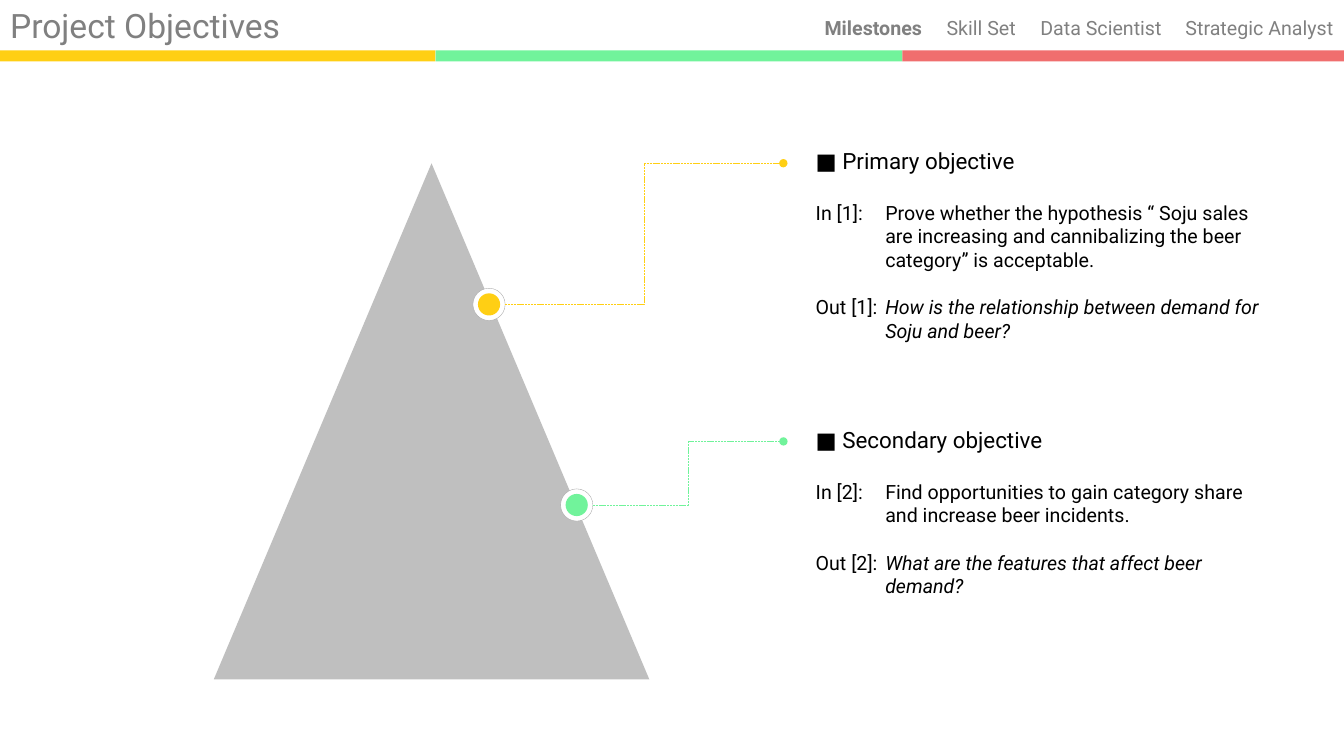
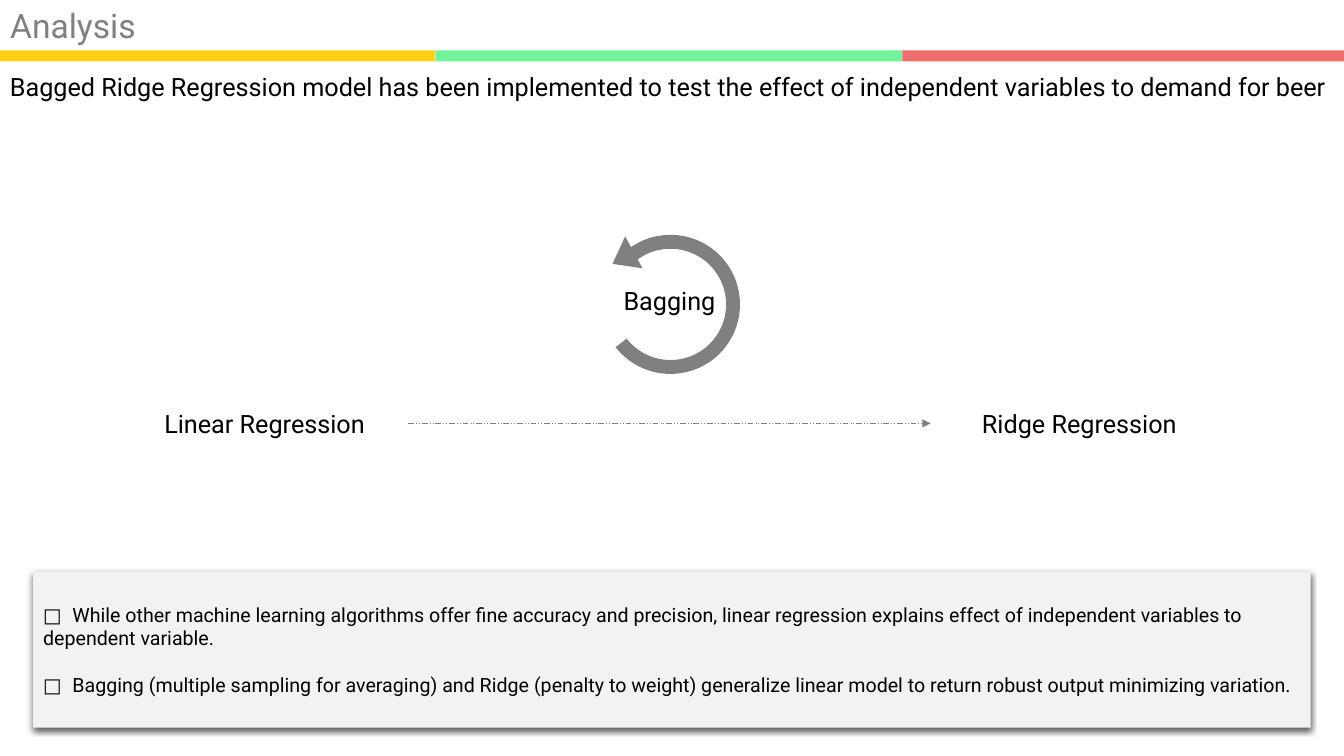
from lxml import etree
from pptx import Presentation
from pptx.dml.color import RGBColor
from pptx.enum.dml import MSO_LINE
from pptx.enum.shapes import MSO_CONNECTOR, MSO_SHAPE
from pptx.enum.text import MSO_ANCHOR, MSO_AUTO_SIZE, PP_ALIGN
from pptx.oxml.ns import qn
from pptx.util import Pt

PX = 9144
FONT = "Roboto"
COLORS = {
    "yellow": "FFCF14", "green": "71F39B", "red": "F06E6E", "text": "000000",
    "gray": "808080", "pyramid": "BFBFBF", "ring": "A6A6A6", "panel": "F2F2F2",
    "white": "FFFFFF",
}
BANDS = [("yellow", -2, 434), ("green", 432, 463), ("red", 895, 441)]
TWO_CONTENT, TITLE_ONLY = 3, 5
TOP, MIDDLE = MSO_ANCHOR.TOP, MSO_ANCHOR.MIDDLE
LEFT, CENTER = PP_ALIGN.LEFT, PP_ALIGN.CENTER
FIT_NONE = MSO_AUTO_SIZE.NONE
RECTANGLE, TRIANGLE = MSO_SHAPE.RECTANGLE, MSO_SHAPE.ISOSCELES_TRIANGLE
OVAL, ARC = MSO_SHAPE.OVAL, MSO_SHAPE.BLOCK_ARC
STRAIGHT, ELBOW = MSO_CONNECTOR.STRAIGHT, MSO_CONNECTOR.ELBOW
SHORT_DASH, DASH_DOTS = MSO_LINE.SQUARE_DOT, MSO_LINE.DASH_DOT_DOT


def color(name):
    """Return a named colour."""
    return RGBColor.from_string(COLORS[name])


def emu(*lengths):
    """Turn px into EMU."""
    return [length * PX for length in lengths]


def format_runs(paragraph, size, color_name="text"):
    """Give every run of a paragraph the deck's font."""
    for run in paragraph.runs:
        run.font.name = FONT
        run.font.size = Pt(size)
        run.font.color.rgb = color(color_name)


def set_tabs(paragraph, tabs, hanging=0, space_before=0):
    """Set tab stops, spacing and, if wanted, a hanging indent."""
    paragraph.alignment = LEFT
    paragraph.space_before = Pt(space_before)
    properties = paragraph._p.get_or_add_pPr()
    if hanging:
        properties.set("marL", str(hanging * PX))
        properties.set("indent", str(-hanging * PX))
        etree.SubElement(properties, qn("a:buNone"))
    stops = etree.SubElement(properties, qn("a:tabLst"))
    for tab in tabs:
        etree.SubElement(stops, qn("a:tab"), pos=str(tab * PX), algn="l")


def place(shape, box):
    """Move a placeholder into a box and fix its text area."""
    shape.left, shape.top, shape.width, shape.height = emu(*box)
    frame = shape.text_frame
    frame.word_wrap = True
    frame.auto_size = FIT_NONE
    frame.vertical_anchor = TOP
    return frame


def add_figure(slide, kind, box, fill, rotation=0):
    """Add a flat filled shape."""
    shape = slide.shapes.add_shape(kind, *emu(*box))
    shape.shadow.inherit = False
    shape.fill.solid()
    shape.fill.fore_color.rgb = color(fill)
    shape.line.fill.background()
    shape.rotation = rotation
    return shape


def add_label(slide, box, text, size=18, alignment=LEFT, wrap=True, color_name="text"):
    """Add a one-paragraph text box and return its paragraph."""
    frame = slide.shapes.add_textbox(*emu(*box)).text_frame
    frame.word_wrap = wrap
    paragraph = frame.paragraphs[0]
    paragraph.text = text
    paragraph.alignment = alignment
    format_runs(paragraph, size, color_name)
    return paragraph


def add_line(slide, kind, start, end, color_name, dash, tail):
    """Add a thin dashed connector with an end mark."""
    connector = slide.shapes.add_connector(kind, *emu(*start, *end))
    connector.line.color.rgb = color(color_name)
    connector.line.width = Pt(0.5)
    connector.line.dash_style = dash
    properties = connector.element.spPr
    etree.SubElement(properties.find(qn("a:ln")), qn("a:tailEnd"), type=tail)
    etree.SubElement(properties, qn("a:effectLst"))


def add_master_bands(presentation, slide):
    """Put the three colour bands on the slide master."""
    tree = presentation.slide_master.shapes.element
    for name, left, width in BANDS:
        band = add_figure(slide, RECTANGLE, (left, 50, width, 11), name)
        tree.append(band.element)


def add_slide(presentation, layout, title):
    """Add a slide with the shared title style."""
    slide = presentation.slides.add_slide(presentation.slide_layouts[layout])
    frame = place(slide.shapes.title, (0, 0, 405, 50))
    frame.text = title
    frame.paragraphs[0].alignment = LEFT
    format_runs(frame.paragraphs[0], 24, "gray")
    return slide


def add_navigation(slide, left, top):
    """Add the section names with the current one in bold."""
    sections = "Milestones\tSkill Set\tData Scientist\tStrategic Analyst"
    current, others = sections.split("\t", 1)
    paragraph = add_label(slide, (left, top, 530, 34), current, 14, color_name="gray")
    paragraph.add_run().text = "\t" + others
    format_runs(paragraph, 14, "gray")
    paragraph.runs[0].font.bold = True
    set_tabs(paragraph, (121, 214, 358))


def add_marker(slide, left, top, fill, target):
    """Add a ringed dot and the elbow line leading to its objective."""
    ring = add_figure(slide, OVAL, (left, top, 32, 32), "white")
    ring.line.color.rgb = color("ring")
    ring.line.width = Pt(0.25)
    add_figure(slide, OVAL, (left + 5, top + 5, 22, 22), fill)
    add_line(slide, ELBOW, (left + 32, top + 16), target, fill, SHORT_DASH, "oval")


def fill_objective(placeholder, box, heading, number, task, question):
    """Write one objective as a heading with an In and an Out entry."""
    frame = place(placeholder, box)
    frame.text = f"■ {heading}\nIn [{number}]:\t{task}\nOut [{number}]:\t"
    frame.paragraphs[2].add_run().text = question
    for paragraph, size, space in zip(frame.paragraphs, (16, 14, 14), (0, 19, 17)):
        set_tabs(paragraph, (69,), 69, space)
        format_runs(paragraph, size)
    frame.paragraphs[2].runs[1].font.italic = True


def add_bagging_loop(slide, left, top):
    """Add the circular arrow around its label."""
    arc = add_figure(slide, ARC, (left, top, 138, 138), "gray")
    for index, value in enumerate((231 * 0.6, 142 * 0.6, 0.1)):
        arc.adjustments[index] = value
    add_figure(slide, TRIANGLE, (left + 4, top + 11, 36, 24), "gray", 241.6)
    add_label(slide, (left + 12, top + 45, 112, 40), "Bagging", 18, CENTER, False)


def add_notes_panel(slide, box, notes):
    """Write the checklist on a shaded panel."""
    panel = add_figure(slide, RECTANGLE, box, "panel")
    effects = panel.element.spPr.find(qn("a:effectLst"))
    shadow = etree.SubElement(
        effects, qn("a:outerShdw"), blurRad=str(Pt(4.5)), dist=str(Pt(1.5)),
        dir="5400000", algn="t", rotWithShape="0")
    shade = etree.SubElement(shadow, qn("a:srgbClr"), val=COLORS["text"])
    etree.SubElement(shade, qn("a:alpha"), val="63000")
    frame = panel.text_frame
    frame.word_wrap = True
    frame.vertical_anchor = MIDDLE
    frame.text = "\n".join(f"□\t{note}" for note in notes)
    for index, paragraph in enumerate(frame.paragraphs):
        set_tabs(paragraph, (29,), space_before=17 * index)
        format_runs(paragraph, 14)


def build_objectives(presentation):
    """Build the pyramid slide with two objectives."""
    slide = add_slide(presentation, TWO_CONTENT, "Project Objectives")
    add_master_bands(presentation, slide)
    add_navigation(slide, 808, 11)
    add_figure(slide, TRIANGLE, (212, 162, 432, 512), "pyramid")
    add_marker(slide, 469, 286, "yellow", (777, 162))
    add_marker(slide, 556, 485, "green", (777, 438))
    fill_objective(
        slide.placeholders[1], (799, 141, 462, 205), "Primary objective", 1,
        "Prove whether the hypothesis “ Soju sales are increasing and "
        "cannibalizing the beer category” is acceptable.",
        "How is the relationship between demand for Soju and beer?")
    fill_objective(
        slide.placeholders[2], (799, 418, 462, 182), "Secondary objective", 2,
        "Find opportunities to gain category share and increase beer incidents.",
        "What are the features that affect beer demand?")


def build_analysis(presentation):
    """Build the regression model slide."""
    slide = add_slide(presentation, TITLE_ONLY, "Analysis")
    add_label(
        slide, (0, 66, 1329, 40),
        "Bagged Ridge Regression model has been implemented to test the effect "
        "of independent variables to demand for beer", wrap=False)
    add_bagging_loop(slide, 596, 233)
    for left, model in ((147, "Linear Regression"), (955, "Ridge Regression")):
        add_label(slide, (left, 400, 231, 40), model, alignment=CENTER)
    add_line(slide, STRAIGHT, (405, 420), (923, 420), "gray", DASH_DOTS, "triangle")
    add_notes_panel(slide, (33, 567, 1267, 155), [
        "While other machine learning algorithms offer fine accuracy and precision, "
        "linear regression explains effect of independent variables to "
        "dependent variable.",
        "Bagging (multiple sampling for averaging) and Ridge (penalty to weight) "
        "generalize linear model to return robust output minimizing variation.",
    ])


def main():
    """Build and save the presentation."""
    presentation = Presentation()
    presentation.slide_width, presentation.slide_height = emu(1333, 750)
    build_objectives(presentation)
    build_analysis(presentation)
    presentation.save("out.pptx")


if __name__ == "__main__":
    main()
